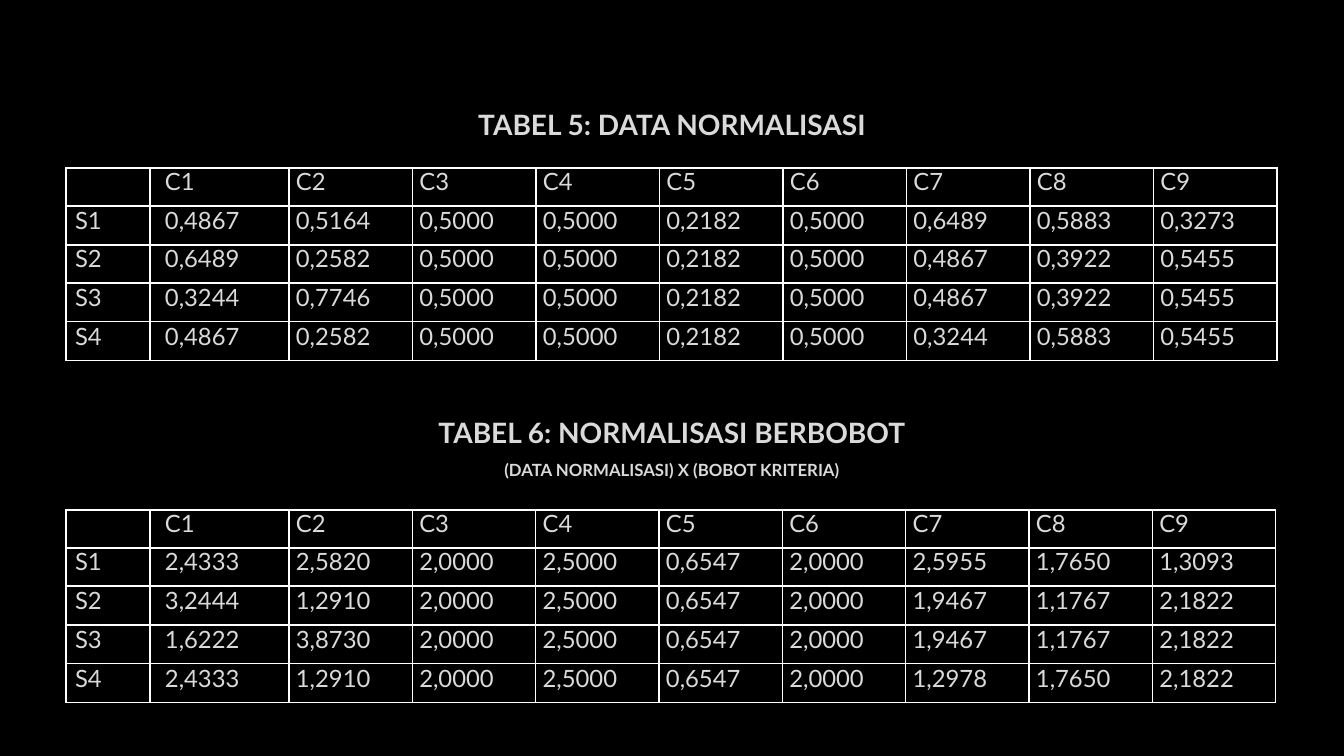
from lxml import etree
from pptx import Presentation
from pptx import util as u
from pptx.dml.color import RGBColor
from pptx.enum import text
from pptx.oxml.ns import qn

PX = 914400 / 100.8
BLACK = RGBColor(0x00, 0x00, 0x00)
WHITE = RGBColor(0xFF, 0xFF, 0xFF)
LIGHT = RGBColor(0xDA, 0xDA, 0xDA)
GREY = RGBColor(0x40, 0x40, 0x40)

HEADER = ["", "C1", "C2", "C3", "C4", "C5", "C6", "C7", "C8", "C9"]
NORMALISED = """
S1 0,4867 0,5164 0,5000 0,5000 0,2182 0,5000 0,6489 0,5883 0,3273
S2 0,6489 0,2582 0,5000 0,5000 0,2182 0,5000 0,4867 0,3922 0,5455
S3 0,3244 0,7746 0,5000 0,5000 0,2182 0,5000 0,4867 0,3922 0,5455
S4 0,4867 0,2582 0,5000 0,5000 0,2182 0,5000 0,3244 0,5883 0,5455
"""
WEIGHTED = """
S1 2,4333 2,5820 2,0000 2,5000 0,6547 2,0000 2,5955 1,7650 1,3093
S2 3,2444 1,2910 2,0000 2,5000 0,6547 2,0000 1,9467 1,1767 2,1822
S3 1,6222 3,8730 2,0000 2,5000 0,6547 2,0000 1,9467 1,1767 2,1822
S4 2,4333 1,2910 2,0000 2,5000 0,6547 2,0000 1,2978 1,7650 2,1822
"""


def px(n):
    return u.Emu(round(n * PX))


def add_line(parent, tag, width, color, alpha=100):
    """Append a solid line element to a cell's or run's properties."""
    ln = etree.SubElement(parent, qn(tag), w=str(u.Pt(width)))
    fill = etree.SubElement(ln, qn("a:solidFill"))
    clr = etree.SubElement(fill, qn("a:srgbClr"), val=str(color))
    if alpha < 100:
        etree.SubElement(clr, qn("a:alpha"), val=str(alpha * 1000))
    return ln


def write(p, content, size, bold=False, align=None, spacing=None, indent=0, outline=False):
    """Fill a paragraph with one formatted run."""
    if indent:
        p._p.get_or_add_pPr().set("marL", str(px(indent)))
    p.alignment = align
    p.line_spacing = spacing
    r = p.add_run()
    r.text = content
    if outline:
        add_line(r._r.get_or_add_rPr(), "a:ln", 0.75, GREY, alpha=10)
    r.font.name = "Lato"
    r.font.size = u.Pt(size)
    r.font.bold = bold
    r.font.color.rgb = LIGHT


class Deck:
    label_width, first_width = 84, 139
    label_indent, first_indent, indent = 9, 15, 7

    def __init__(self):
        self.prs = Presentation()
        self.prs.slide_width, self.prs.slide_height = px(1344), px(756)
        self.s = self.prs.slides.add_slide(self.prs.slide_layouts[6])
        self.s.background.fill.solid()
        self.s.background.fill.fore_color.rgb = BLACK

    def heading(self, top, *lines):
        tf = self.s.shapes.add_textbox(px(116), px(top), px(1112), px(69)).text_frame
        tf.word_wrap = True
        for i, (content, size) in enumerate(lines):
            p = tf.add_paragraph() if i else tf.paragraphs[0]
            write(p, content, size, bold=True, align=text.PP_ALIGN.CENTER,
                  spacing=1.5, outline=True)

    def table(self, top, width, heights, leadings, values):
        rows = [HEADER] + [line.split() for line in values.strip().splitlines()]
        frame = self.s.shapes.add_table(len(rows), len(HEADER), px(66), px(top),
                                        px(width), px(sum(heights)))
        tbl = frame.table
        tbl.first_row = tbl.horz_banding = False
        others = len(HEADER) - 2
        rest = (width - self.label_width - self.first_width) / others
        for col, w in zip(tbl.columns, [self.label_width, self.first_width] + [rest] * others):
            col.width = px(w)
        indents = [self.label_indent, self.first_indent] + [self.indent] * others
        for i, row in enumerate(rows):
            tbl.rows[i].height = px(heights[i])
            for j, value in enumerate(row):
                self.cell(tbl.cell(i, j), value, leadings[i], indents[j])

    def cell(self, cell, value, leading, indent):
        cell.margin_left = cell.margin_right = cell.margin_top = cell.margin_bottom = 0
        cell.vertical_anchor = text.MSO_ANCHOR.MIDDLE
        # Borders come before the fill in the cell properties
        for side in "LRTB":
            add_line(cell._tc.get_or_add_tcPr(), f"a:ln{side}", 1, WHITE)
        cell.fill.background()
        if value:
            write(cell.text_frame.paragraphs[0], value, 17,
                  spacing=u.Pt(leading), indent=indent)


def main():
    deck = Deck()

    # Normalised data
    deck.heading(86, ("TABEL 5: DATA NORMALISASI", 20))
    deck.table(168, 1211, [38, 39, 38, 39, 39], [12.7, 12.9, 12.7, 12.9, 12.9], NORMALISED)

    # Weighted normalisation
    deck.heading(394, ("TABEL 6: NORMALISASI BERBOBOT", 20),
                 ("(DATA NORMALISASI) X (BOBOT KRITERIA)", 12))
    deck.table(510, 1210, [38, 38, 39, 39, 39], [12.7, 12.9, 12.6, 12.9, 12.9], WEIGHTED)

    deck.prs.save("out.pptx")


if __name__ == "__main__":
    main()
